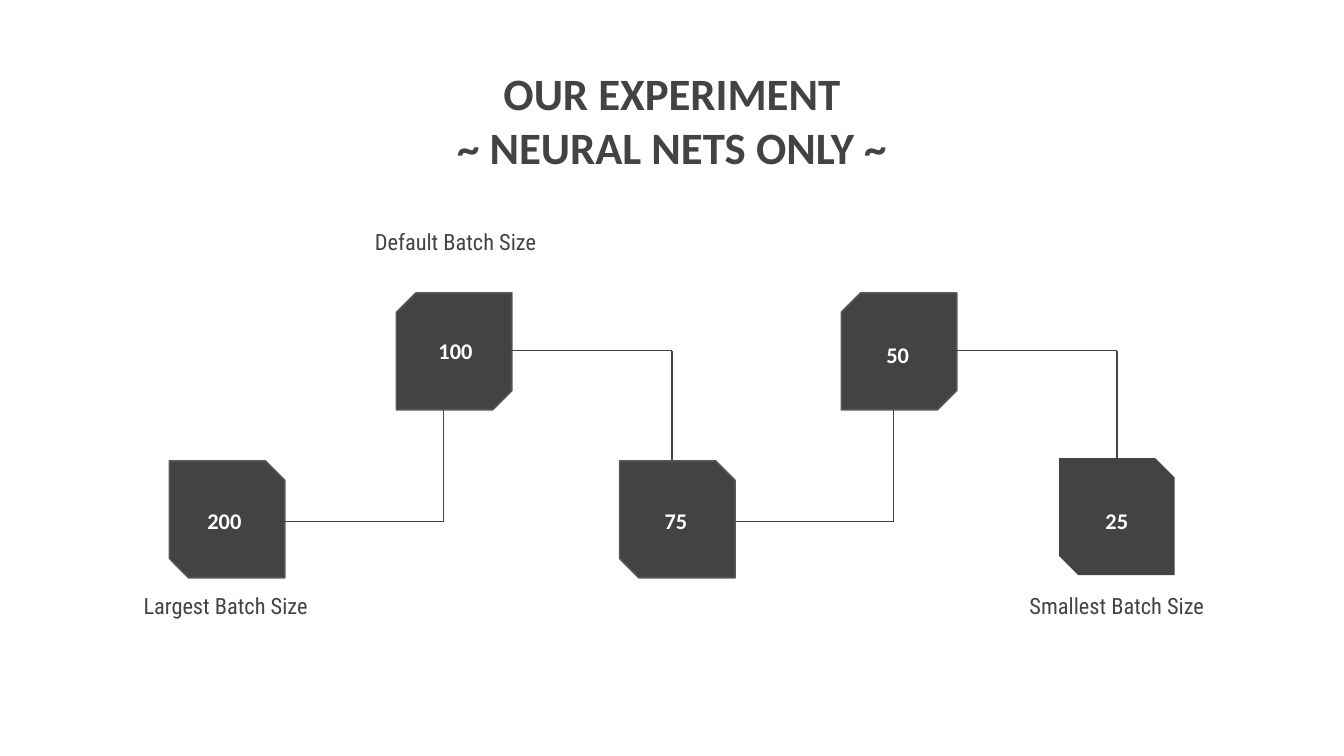
from lxml.etree import SubElement
from pptx import Presentation
from pptx.dml.color import RGBColor
from pptx.enum.shapes import MSO_CONNECTOR, MSO_SHAPE
from pptx.enum.text import MSO_ANCHOR, MSO_AUTO_SIZE, PP_ALIGN
from pptx.oxml.ns import qn
from pptx.util import Inches, Pt

COLORS = {"dark": "434343", "outline": "595959", "white": "FFFFFF"}
TITLE_FORMAT = {"name": "Calibri", "size": Pt(24), "bold": True}
NUMBER_FORMAT = {"name": "Calibri", "size": Pt(12), "bold": True}
LABEL_FORMAT = {"name": "Roboto Condensed", "size": Pt(12), "bold": False}
TILE_WIDTH, TILE_HEIGHT = 0.86, 0.87
SNIP = 0.167
RUN_LENGTH, DROP_LENGTH = 1.64, 1

TILES = [
    ("200", 1.26, 3.43, False, (1.24, 3.67), MSO_ANCHOR.TOP),
    ("100", 2.95, 2.18, True, (2.96, 2.41), MSO_ANCHOR.TOP),
    ("75", 4.61, 3.43, False, (4.6, 3.67), MSO_ANCHOR.TOP),
    ("50", 6.26, 2.18, True, (6.25, 2.42), MSO_ANCHOR.MIDDLE),
    ("25", 7.88, 3.41, False, (7.88, 3.67), MSO_ANCHOR.TOP),
]
LABELS = [
    ("Largest Batch Size", 0.91, 4.31, MSO_ANCHOR.TOP),
    ("Smallest Batch Size", 7.54, 4.31, MSO_ANCHOR.TOP),
    ("Default Batch Size", 2.62, 1.34, MSO_ANCHOR.BOTTOM),
]


def color(name):
    return RGBColor.from_string(COLORS[name])


def write_text(shape, text, font_format, color_name, anchor):
    frame = shape.text_frame
    frame.text = text
    frame_format = {
        "word_wrap": True,
        "auto_size": MSO_AUTO_SIZE.NONE,
        "vertical_anchor": anchor,
    }
    for side in ("left", "top", "right", "bottom"):
        frame_format[f"margin_{side}"] = Inches(0.1)
    for name, value in frame_format.items():
        setattr(frame, name, value)
    for paragraph in frame.paragraphs:
        paragraph.alignment = PP_ALIGN.CENTER
        for name, value in font_format.items():
            setattr(paragraph.font, name, value)
        paragraph.font.color.rgb = color(color_name)


def add_title(slide, text):
    title = slide.shapes.title
    box = {"left": 2.15, "top": 0.39, "width": 5.7, "height": 1.03}
    for name, value in box.items():
        setattr(title, name, Inches(value))
    write_text(title, text, TITLE_FORMAT, "dark", MSO_ANCHOR.TOP)


def add_text(slide, text, box, font_format, color_name, anchor):
    shape = slide.shapes.add_textbox(*map(Inches, box))
    write_text(shape, text, font_format, color_name, anchor)


def add_tile(slide, left, top, raised, outlined):
    shape = slide.shapes.add_shape(
        MSO_SHAPE.SNIP_2_DIAG_RECTANGLE,
        *map(Inches, (left, top, TILE_WIDTH, TILE_HEIGHT)),
    )
    shape.shadow.inherit = False
    shape.adjustments[0] = SNIP if raised else 0
    shape.adjustments[1] = 0 if raised else SNIP
    shape.fill.solid()
    shape.fill.fore_color.rgb = color("dark")
    if outlined:
        shape.line.color.rgb = color("outline")
        shape.line.width = Pt(0.75)
    else:
        shape.line.fill.background()


def add_line(slide, start, end):
    line = slide.shapes.add_connector(
        MSO_CONNECTOR.STRAIGHT, *map(Inches, (*start, *end))
    )
    line.line.color.rgb = color("dark")
    line.line.width = Pt(0.75)
    SubElement(line._element.spPr, qn("a:effectLst"))


def add_link(slide, left, top, raised):
    start_x = left + (0.41 if raised else 0.4)
    start_y = top + (0.43 if raised else 0.45)
    corner = (start_x + RUN_LENGTH, start_y)
    end_y = start_y + (DROP_LENGTH if raised else -DROP_LENGTH)
    add_line(slide, (start_x, start_y), corner)
    add_line(slide, corner, (corner[0], end_y))


def main():
    presentation = Presentation()
    presentation.slide_width = Inches(10)
    presentation.slide_height = presentation.slide_width * 9 // 16
    slide = presentation.slides.add_slide(presentation.slide_layouts[5])
    add_title(slide, "OUR EXPERIMENT\n~ NEURAL NETS ONLY ~")
    for tile in TILES:
        left, top, raised = tile[1:4]
        linked = tile is not TILES[-1]
        add_tile(slide, left, top, raised, linked)
        if linked:
            add_link(slide, left, top, raised)
    for number, *_, position, anchor in TILES:
        box = (*position, TILE_WIDTH, 0.43)
        add_text(slide, number, box, NUMBER_FORMAT, "white", anchor)
    for label, left, top, anchor in LABELS:
        box = (left, top, 1.54, 0.66)
        add_text(slide, label, box, LABEL_FORMAT, "dark", anchor)
    presentation.save("out.pptx")


if __name__ == "__main__":
    main()
